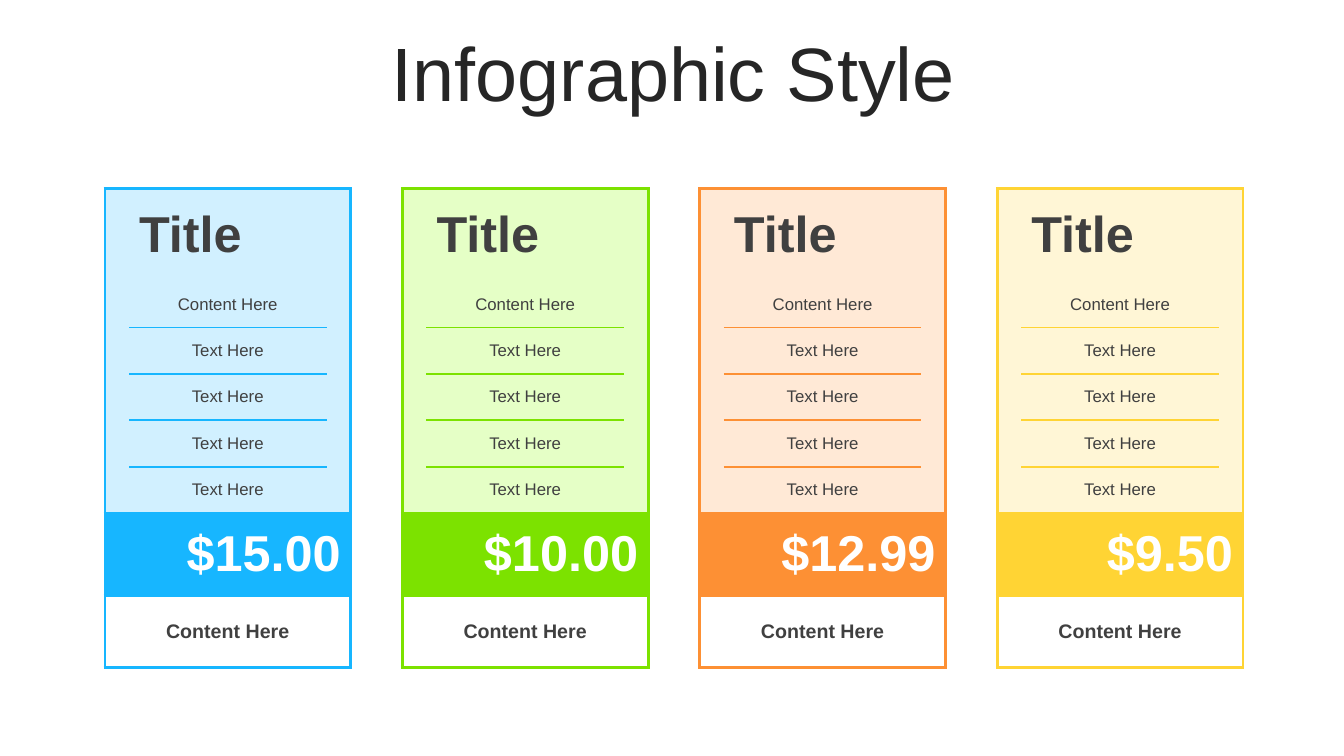
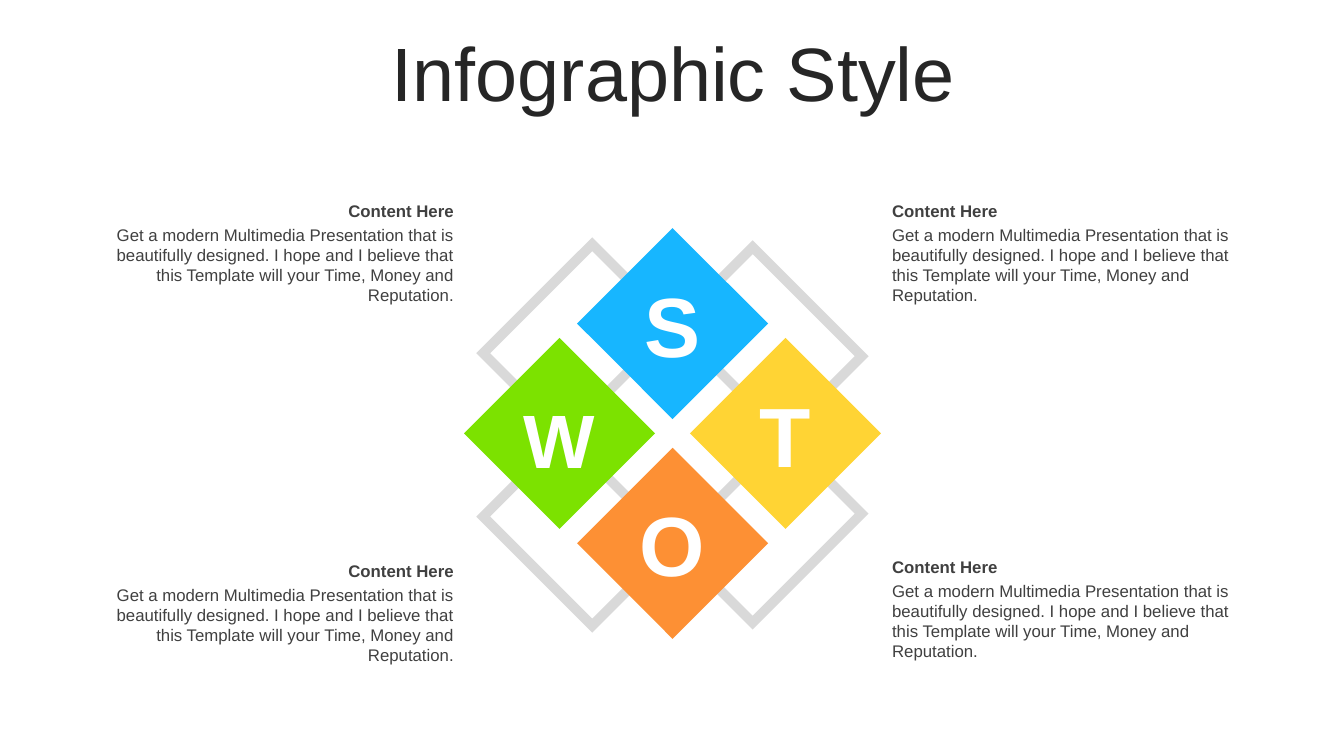
from dataclasses import dataclass

from lxml import etree
from pptx import Presentation
from pptx.dml.color import RGBColor
from pptx.enum import shapes, text
from pptx.oxml import ns
from pptx.util import Inches, Pt


@dataclass(frozen=True)
class Theme:
    font: str = "Arial"
    title: str = "262626"
    body: str = "404040"
    white: str = "FFFFFF"
    frame: str = "D9D9D9"
    blue: str = "17B6FF"
    green: str = "7CE200"
    orange: str = "FD9034"
    yellow: str = "FFD434"
    title_size: int = 54
    letter_size: int = 60
    large: int = 36
    medium: int = 14
    small: int = 12


T = Theme()
ALIGN = text.PP_ALIGN
MIDDLE = text.MSO_ANCHOR.MIDDLE
PLAIN_TABLE = "{2D5ABB26-0587-4C30-8999-92F81FD0307C}"

PLANS = [
    ("$15.00", T.blue, "D1F0FF"),
    ("$10.00", T.green, "E5FFC6"),
    ("$12.99", T.orange, "FFE9D6"),
    ("$9.50", T.yellow, "FFF6D6"),
]
FEATURES = ["Content Here"] + ["Text Here"] * 4
COL_WIDTHS = [0.23, 1.96, 0.23]
ROW_HEIGHTS = [0.92] + [0.46] * 5 + [0.82, 0.71]
ROW_RULES = [2.25, 0, 1.5, 1.5, 1.5, 1.5, 2.25, 3, 2.25]
OUTER_RULE, INNER_RULE = 2.25, 1.5
PRICE_ROW, FOOT_ROW = 6, 7

SWOT = [
    ("S", T.blue, 0, -1, T.letter_size, 0),
    ("O", T.orange, 0, 1, T.letter_size, 0),
    ("W", T.green, -1, 0, T.title_size, 0.05),
    ("T", T.yellow, 1, 0, T.letter_size, 0),
]
HEADING = "Content Here"
DESCRIPTION = (
    "Get a modern Multimedia Presentation that is beautifully designed. "
    "I hope and I believe that this Template will your Time, Money and Reputation."
)


def rgb(color):
    return RGBColor.from_string(color)


def write(tf, words, size, color, bold=False, align=ALIGN.LEFT):
    p = tf.paragraphs[0]
    p.text = words
    p.alignment = align
    p.font.name = T.font
    p.font.size = Pt(size)
    p.font.bold = bold
    p.font.color.rgb = rgb(color)
    return p


def add_text(slide, box, words, size, color, bold=False, align=ALIGN.LEFT, anchor=MIDDLE):
    tf = slide.shapes.add_textbox(*map(Inches, box)).text_frame
    tf.word_wrap = True
    tf.vertical_anchor = anchor
    write(tf, words, size, color, bold, align)


def add_titled_slide(prs, title):
    slide = prs.slides.add_slide(prs.slide_layouts[5])
    sp = slide.shapes.title
    sp.left, sp.top, sp.width, sp.height = map(Inches, (0.35, 0.37, 12.66, 0.79))
    tf = sp.text_frame
    tf.auto_size = text.MSO_AUTO_SIZE.NONE
    tf.vertical_anchor = MIDDLE
    p = write(tf, title, T.title_size, T.title, align=ALIGN.CENTER)
    p.line_spacing = 0.9
    return slide


def set_border(cell, side, width, color):
    tc_pr = cell._tc.get_or_add_tcPr()
    ln = etree.SubElement(tc_pr, ns.qn(f"a:ln{side}"), w=str(Pt(width)))
    fill = etree.SubElement(ln, ns.qn("a:solidFill"))
    etree.SubElement(fill, ns.qn("a:srgbClr"), val=color)


def set_fill(cell, color, opacity=100):
    cell.fill.solid()
    cell.fill.fore_color.rgb = rgb(color)
    if opacity < 100:
        clr = cell._tc.tcPr.find(".//" + ns.qn("a:srgbClr"))
        etree.SubElement(clr, ns.qn("a:alpha"), val=str(opacity * 1000))


def style_cell(cell, row, col, color, tint):
    merged = row >= PRICE_ROW
    top, bottom = (
        0 if width == INNER_RULE and col != 1 else width
        for width in ROW_RULES[row:row + 2]
    )
    rules = {
        "L": OUTER_RULE if col == 0 else 0,
        "R": OUTER_RULE if merged or col == 2 else 0,
        "T": top,
        "B": bottom,
    }
    for side, width in rules.items():
        if width:
            set_border(cell, side, width, color)
    if merged:
        set_fill(cell, color if row == PRICE_ROW else T.white)
    else:
        set_fill(cell, tint, 30)
    cell.vertical_anchor = MIDDLE


def add_plan(slide, left, top, price, color, tint):
    frame = slide.shapes.add_table(
        len(ROW_HEIGHTS), len(COL_WIDTHS), Inches(left), Inches(top),
        Inches(sum(COL_WIDTHS)), Inches(sum(ROW_HEIGHTS)))
    table = frame.table
    table.first_row = table.horz_banding = False
    table._tbl.tblPr.find(ns.qn("a:tableStyleId")).text = PLAIN_TABLE
    for column, width in zip(table.columns, COL_WIDTHS):
        column.width = Inches(width)
    for row, height in zip(table.rows, ROW_HEIGHTS):
        row.height = Inches(height)
    for row in (PRICE_ROW, FOOT_ROW):
        table.cell(row, 0).merge(table.cell(row, 2))
    for row in range(len(ROW_HEIGHTS)):
        for col in range(len(COL_WIDTHS)):
            style_cell(table.cell(row, col), row, col, color, tint)
    write(table.cell(0, 1).text_frame, "Title", T.large, T.body, True)
    for row, feature in enumerate(FEATURES, 1):
        write(table.cell(row, 1).text_frame, feature, T.small, T.body, align=ALIGN.CENTER)
    write(table.cell(PRICE_ROW, 0).text_frame, price, T.large, T.white, True, ALIGN.RIGHT)
    write(table.cell(FOOT_ROW, 0).text_frame, "Content Here", T.medium, T.body, True, ALIGN.CENTER)


def add_rotated(slide, cx, cy, width, height, angle):
    sp = slide.shapes.add_shape(
        shapes.MSO_SHAPE.RECTANGLE, Inches(cx - width / 2), Inches(cy - height / 2),
        Inches(width), Inches(height))
    sp.shadow.inherit = False
    sp.rotation = angle
    return sp


def add_frame(slide, cx, cy, angle):
    sp = add_rotated(slide, cx, cy, 1.53, 3.78, angle)
    sp.fill.background()
    sp.line.color.rgb = rgb(T.frame)
    sp.line.width = Pt(7)
    ln = sp._element.spPr.find(ns.qn("a:ln"))
    etree.SubElement(ln, ns.qn("a:miter"), lim="800000")


def add_swot(slide, cx, cy):
    side, letter_height, step_x, step_y = 1.34, 1.11, 1.12, 1.09
    add_frame(slide, cx, cy + 0.03, 45)
    add_frame(slide, cx, cy, 315)
    for letter, color, dx, dy, size, drop in SWOT:
        x, y = cx + dx * step_x, cy + dy * step_y
        sp = add_rotated(slide, x, y, side, side, 45)
        sp.fill.solid()
        sp.fill.fore_color.rgb = rgb(color)
        sp.line.fill.background()
        box = (x - side / 2, y - letter_height / 2 + drop, side, letter_height)
        add_text(slide, box, letter, size, T.white, True, ALIGN.CENTER)


def add_note(slide, left, top, width, align):
    add_text(slide, (left, top, width, 0.3), HEADING, T.small, T.body, True, align)
    add_text(slide, (left, top + 0.24, width, 0.91), DESCRIPTION, T.small, T.body,
             align=align, anchor=text.MSO_ANCHOR.TOP)


def build_pricing(prs):
    slide = add_titled_slide(prs, "Infographic Style")
    for i, plan in enumerate(PLANS):
        add_plan(slide, 1.04 + i * 2.95, 1.87, *plan)


def build_swot(prs):
    slide = add_titled_slide(prs, "Infographic Style")
    add_swot(slide, 6.67, 4.3)
    for left, width, align, tops in (
        (8.75, 3.64, ALIGN.LEFT, (1.94, 5.47)),
        (0.84, 3.76, ALIGN.RIGHT, (1.94, 5.51)),
    ):
        for top in tops:
            add_note(slide, left, top, width, align)


def main():
    prs = Presentation()
    prs.slide_width, prs.slide_height = Inches(13.33), Inches(7.5)
    build_pricing(prs)
    build_swot(prs)
    prs.save("out.pptx")


if __name__ == "__main__":
    main()
